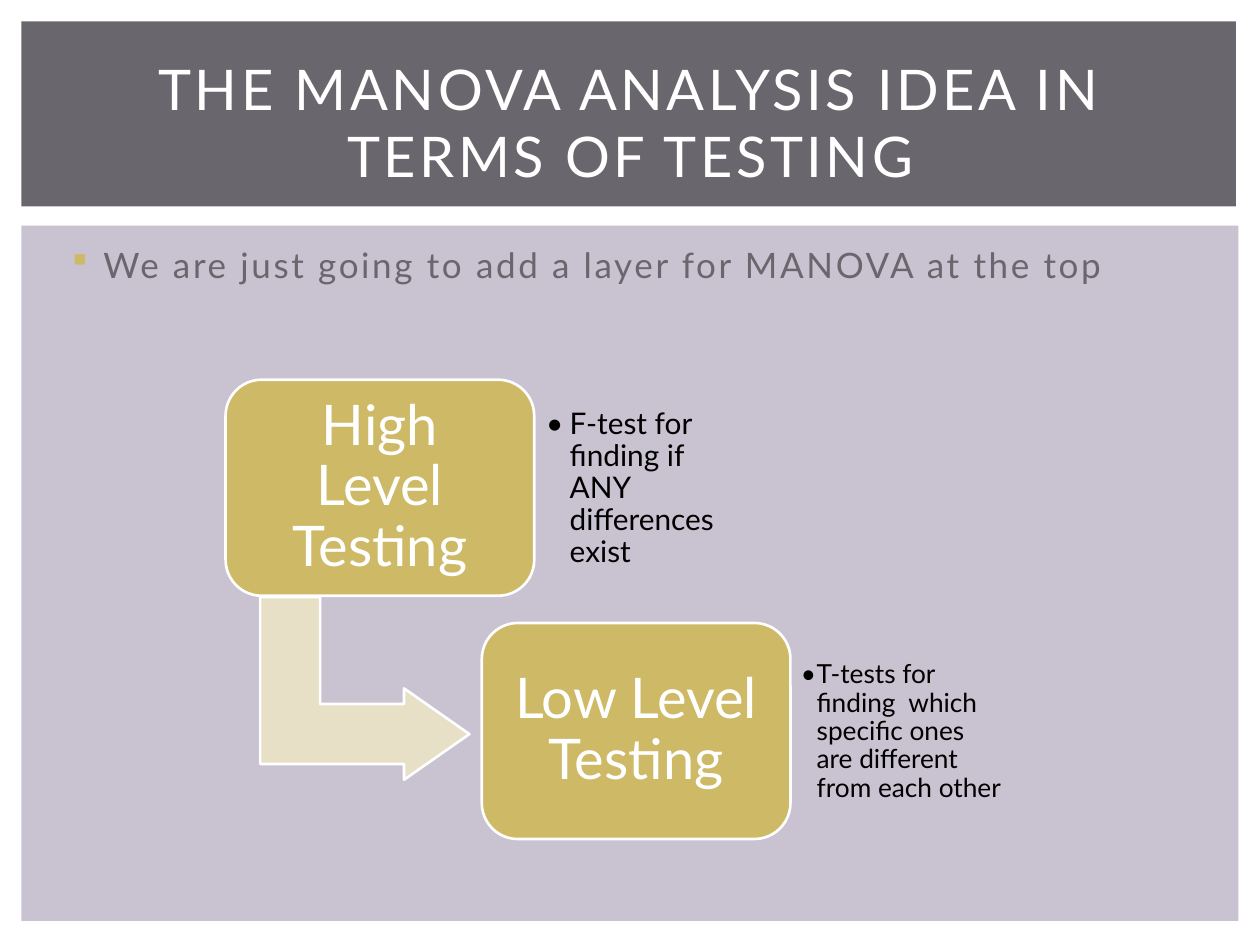
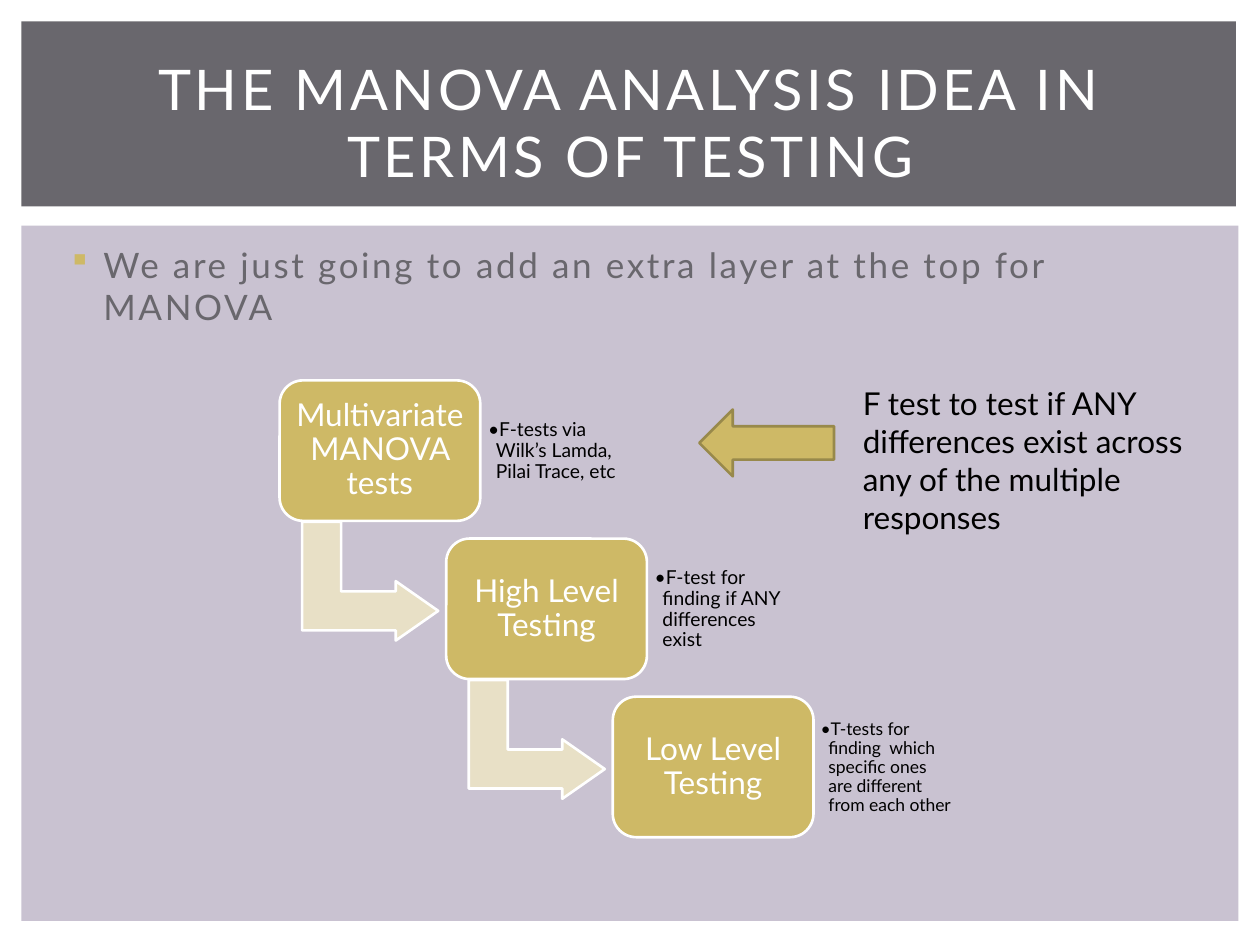
from lxml import etree
from pptx import Presentation
from pptx.dml.color import RGBColor
from pptx.enum.shapes import MSO_SHAPE
from pptx.enum.text import MSO_ANCHOR, MSO_AUTO_SIZE, PP_ALIGN
from pptx.oxml.ns import qn
from pptx.util import Pt

RECTANGLE, ROUNDED = MSO_SHAPE.RECTANGLE, MSO_SHAPE.ROUNDED_RECTANGLE
BENT_ARROW, ARROW = MSO_SHAPE.BENT_UP_ARROW, MSO_SHAPE.RIGHT_ARROW
MIDDLE, TOP = MSO_ANCHOR.MIDDLE, MSO_ANCHOR.TOP
CENTER, LEFT = PP_ALIGN.CENTER, PP_ALIGN.LEFT
NO_AUTOFIT = MSO_AUTO_SIZE.NONE

WHITE = RGBColor(0xFF, 0xFF, 0xFF)
BLACK = RGBColor(0x00, 0x00, 0x00)
GRAY = RGBColor(0x69, 0x67, 0x6D)
LAVENDER = RGBColor(0xC9, 0xC2, 0xD1)
GOLD = RGBColor(0xCE, 0xB9, 0x66)
DARK_GOLD = RGBColor(0x98, 0x89, 0x4B)
CREAM = RGBColor(0xE8, 0xE0, 0xC6)

FONT = "Lato"
TITLE = "THE MANOVA ANALYSIS IDEA IN TERMS OF TESTING"
BANDS = [((12.24, 128.9, 695.5, 397.4), LAVENDER), ((12.24, 12.24, 694.1, 105.8), GRAY)]
TITLE_BOX = (30.24, 28.1, 660.2, 82.8)
BODY_BOX = (30.24, 135.4, 661.7, 347)

HIGH_LEVEL = ("High Level Testing", "F-test for finding if ANY differences exist")
LOW_LEVEL = ("Low Level Testing",
             "T-tests for finding  which specific ones are different from each other")
MULTIVARIATE = ("Multivariate MANOVA tests", "F-tests via Wilk’s Lamda, Pilai Trace, etc")


def add_shape(shapes, kind, box, fill, line=None, adjustments=()):
    shape = shapes.add_shape(kind, *map(Pt, box))
    shape.shadow.inherit = False
    shape.fill.solid()
    shape.fill.fore_color.rgb = fill
    if line is None:
        shape.line.fill.background()
    else:
        shape.line.color.rgb = line
        shape.line.width = Pt(1.5)
    for index, value in enumerate(adjustments):
        shape.adjustments[index] = value
    return shape


def write(shape, text, size, color, align=LEFT, anchor=TOP, inset=None, spacing=0, **spaces):
    """Fill a shape with one formatted paragraph and return that paragraph."""
    frame = shape.text_frame
    formats = {"word_wrap": True, "auto_size": NO_AUTOFIT, "vertical_anchor": anchor}
    if inset is not None:
        for side in ("left", "right", "top", "bottom"):
            formats[f"margin_{side}"] = Pt(inset)
    for name, value in formats.items():
        setattr(frame, name, value)
    paragraph = frame.paragraphs[0]
    for name, value in {"alignment": align, **spaces}.items():
        setattr(paragraph, name, value)
    run = paragraph.add_run()
    run.text = text
    for name, value in {"name": FONT, "size": Pt(size)}.items():
        setattr(run.font, name, value)
    run.font.color.rgb = color
    if spacing:
        run._r.get_or_add_rPr().set("spc", str(int(spacing * 100)))
    return paragraph


def add_bullet(paragraph, character, font, color, margin, hanging):
    properties = paragraph._p.get_or_add_pPr()
    properties.set("marL", str(Pt(margin)))
    properties.set("indent", str(-Pt(hanging)))
    bullet_color = etree.SubElement(properties, qn("a:buClr"))
    etree.SubElement(bullet_color, qn("a:srgbClr"), val=str(color))
    etree.SubElement(properties, qn("a:buFont"), typeface=font)
    etree.SubElement(properties, qn("a:buChar"), char=character)


def move_to(shape, box):
    shape.left, shape.top, shape.width, shape.height = map(Pt, box)


def add_bands(slide):
    """Place the two bands behind everything on the slide's layout."""
    layout_tree = slide.slide_layout.shapes.element
    for index, (box, color) in enumerate(BANDS):
        band = add_shape(slide.shapes, RECTANGLE, box, color).element
        band.nvSpPr.cNvPr.id = 20 + index
        layout_tree.insert(2 + index, band)


def add_testing_slide(presentation, statement):
    slide = presentation.slides.add_slide(presentation.slide_layouts[1])
    title, body = slide.shapes.title, slide.placeholders[1]
    move_to(title, TITLE_BOX)
    write(title, TITLE, 32, WHITE, CENTER, MIDDLE, spacing=2)
    move_to(body, BODY_BOX)
    paragraph = write(body, statement, 20, GRAY, spacing=1.5, space_before=Pt(4))
    add_bullet(paragraph, "§", "Wingdings", GOLD, 21.6, 18)
    return slide


def add_staircase(slide, left, top, width, label_size, steps):
    """Draw boxes stepping down to the right; all sizes follow the box width."""
    shapes = slide.shapes.add_group_shape().shapes
    height = 0.7 * width
    for index, ((label, detail), detail_size, indent) in enumerate(steps):
        x = left + index * 0.83 * width
        y = top + index * 0.788 * width
        if index < len(steps) - 1:
            arrow_box = (x + 0.155 * width, y + 0.661 * width, 0.592 * width, 0.678 * width)
            arrow = add_shape(shapes, BENT_ARROW, arrow_box, CREAM, WHITE, (0.328, 0.25, 0.358))
            arrow.rotation = 90
        box = add_shape(shapes, ROUNDED, (x, y, width, height), GOLD, WHITE, (0.167,))
        write(box, label, label_size, WHITE, CENTER, MIDDLE, 0.3 * label_size,
              line_spacing=0.9)
        note = shapes.add_textbox(*map(Pt, (x + width, y + 0.07 * width,
                                            0.727 * width, 0.567 * width)))
        paragraph = write(note, detail, detail_size, BLACK, LEFT, MIDDLE, 0.4 * detail_size,
                          line_spacing=0.9)
        add_bullet(paragraph, "•", FONT, BLACK, indent, indent)


def add_callout(slide, left, top, text):
    """Add a remark with an arrow pointing left from it."""
    remark = slide.shapes.add_textbox(Pt(left), Pt(top), Pt(216), Pt(94.3))
    write(remark, text, 18, BLACK)
    arrow = add_shape(slide.shapes, ARROW, (left - 86.4, top + 18, 77, 38.2), GOLD, DARK_GOLD)
    arrow.rotation = 180


def main():
    presentation = Presentation()
    presentation.slide_width, presentation.slide_height = Pt(720), Pt(540)

    two_levels = add_testing_slide(
        presentation, "We are just going to add a layer for MANOVA at the top")
    add_bands(two_levels)
    add_staircase(two_levels, 128.9, 217, 176.4, 32,
                  [(HIGH_LEVEL, 17, 13.5), (LOW_LEVEL, 15, 9)])

    three_levels = add_testing_slide(
        presentation, "We are just going to add an extra layer at the top for MANOVA")
    add_staircase(three_levels, 159.8, 217.4, 114.7, 18,
                  [(MULTIVARIATE, 11, 4.5), (HIGH_LEVEL, 11, 4.5), (LOW_LEVEL, 10, 4.5)])
    add_callout(three_levels, 486, 216,
                "F test to test if ANY differences exist across any of the multiple responses")

    presentation.save("out.pptx")


if __name__ == "__main__":
    main()
